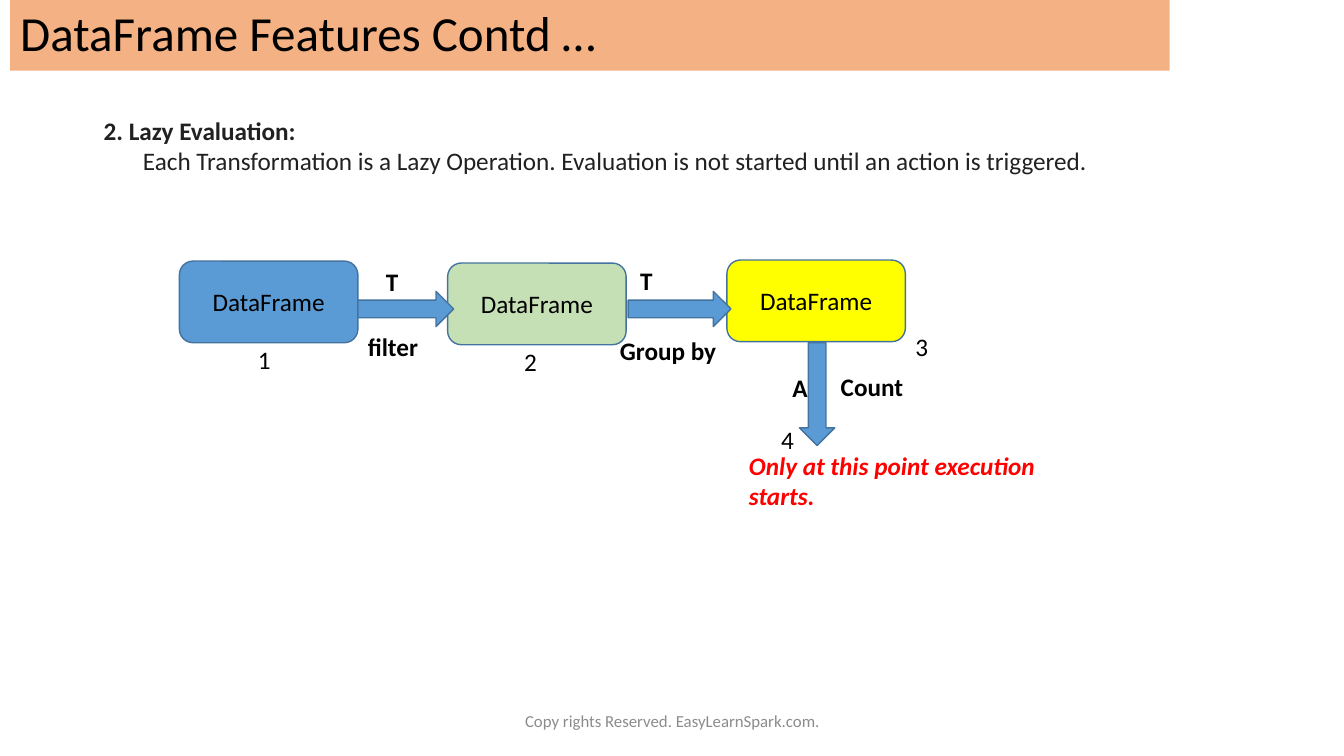
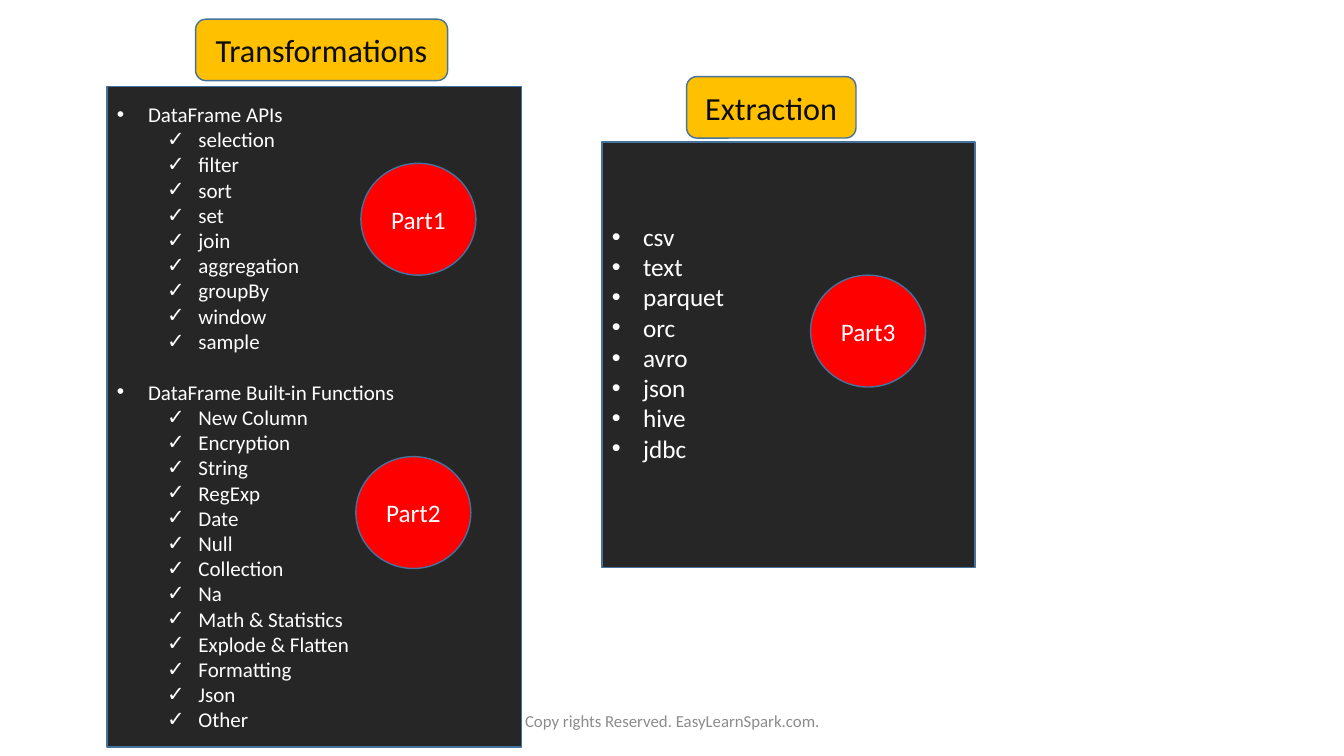
from lxml.etree import SubElement
from pptx import Presentation
from pptx.dml.color import RGBColor
from pptx.enum.shapes import MSO_SHAPE as Preset
from pptx.enum.text import MSO_ANCHOR as Anchor, MSO_AUTO_SIZE as AutoSize, PP_ALIGN as Align
from pptx.oxml.ns import qn
from pptx.util import Inches, Pt

FONT = "Calibri"
BLACK = RGBColor(0x00, 0x00, 0x00)
WHITE = RGBColor(0xFF, 0xFF, 0xFF)
INK = RGBColor(0x21, 0x21, 0x21)
LABEL_INK = RGBColor(0x0D, 0x0D, 0x0D)
GRAY = RGBColor(0x8C, 0x8C, 0x8C)
PEACH = RGBColor(0xF4, 0xB1, 0x83)
BLUE = RGBColor(0x5B, 0x9B, 0xD5)
OUTLINE = RGBColor(0x43, 0x73, 0x9E)
GREEN = RGBColor(0xC5, 0xE0, 0xB4)
YELLOW = RGBColor(0xFF, 0xFF, 0x00)
GOLD = RGBColor(0xFF, 0xC0, 0x00)
RED = RGBColor(0xFF, 0x00, 0x00)
CHARCOAL = RGBColor(0x26, 0x26, 0x26)

FOOTER = "Copy rights Reserved. EasyLearnSpark.com."
TITLE = "DataFrame Features Contd …"
HEADING = "2. Lazy Evaluation:"
EXPLANATION = ("Each Transformation is a Lazy Operation. "
               "Evaluation is not started until an action is triggered.")
CONCLUSION = "Only at this point execution starts."

NODE_SIZE = (1.77, 0.81)
NODES = [(1.78, 2.59, BLUE), (4.44, 2.61, GREEN), (7.21, 2.58, YELLOW)]
ARROWS = [
    (Preset.RIGHT_ARROW, (3.55, 2.89, 0.95, 0.35)),
    (Preset.RIGHT_ARROW, (6.23, 2.89, 1.02, 0.35)),
    (Preset.DOWN_ARROW, (7.93, 3.4, 0.35, 1.02)),
]
OPERATIONS = [
    ("T", 3.73, 2.59, 0.68), ("T", 6.25, 2.58, 0.68),
    ("filter", 3.55, 3.24, 0.92), ("Group by", 6.05, 3.28, 1.2),
    ("A", 7.76, 3.64, 0.68), ("Count", 8.24, 3.63, 1.2),
]
STEPS = [(2.46, 3.37), (5.1, 3.39), (8.98, 3.24), (7.65, 4.16)]
LABEL_HEIGHT = 0.4

# Each panel: box, text size, bottom inset, groups of (bullet, list entries)
PANELS = [
    ((1.06, 0.86, 4.11, 6.55), 15, 0.05, [
        ("DataFrame APIs",
         ["selection", "filter", "sort", "set", "join", "aggregation",
          "groupBy", "window", "sample"]),
        ("DataFrame Built-in Functions",
         ["New Column", "Encryption", "String", "RegExp", "Date", "Null",
          "Collection", "Na", "Math & Statistics", "Explode & Flatten",
          "Formatting", "Json", "Other"]),
    ]),
    ((5.97, 1.41, 3.7, 4.22), 18, 0.3, [
        (name, []) for name in
        ["csv", "text", "parquet", "orc", "avro", "json", "hive", "jdbc"]
    ]),
]
PANEL_LABELS = [("Transformations", (1.94, 0.19, 2.5, 0.61)),
                ("Extraction", (6.81, 0.76, 1.68, 0.61))]
PART_SIZE = (1.14, 1.11)
PARTS = [(3.58, 1.62), (3.53, 4.53), (8.04, 2.73)]
HANGING = 0.31
SUBLIST_INDENT = 0.81
GROUP_GAP = Pt(18.3)


def write(paragraph, text, size=18, color=BLACK, align=Align.LEFT, **font_format):
    paragraph.alignment = align
    run = paragraph.add_run()
    run.text = text
    run.font.color.rgb = color
    values = {"name": FONT, "size": Pt(size), **font_format}
    for name, value in values.items():
        setattr(run.font, name, value)


def add_label(slide, box, text, anchor=Anchor.TOP, **text_format):
    frame = slide.shapes.add_textbox(*map(Inches, box)).text_frame
    frame.word_wrap = True
    frame.vertical_anchor = anchor
    write(frame.paragraphs[0], text, **text_format)
    return frame


def add_block(slide, preset, box, fill, text="", **text_format):
    shape = slide.shapes.add_shape(preset, *map(Inches, box))
    shape.shadow.inherit = False
    shape.fill.solid()
    shape.fill.fore_color.rgb = fill
    shape.line.color.rgb = OUTLINE
    shape.line.width = Pt(1)
    shape.text_frame.vertical_anchor = Anchor.MIDDLE
    if text:
        write(shape.text_frame.paragraphs[0], text, align=Align.CENTER, **text_format)
    return shape


def set_indent(paragraph, left, first_line):
    properties = paragraph._p.get_or_add_pPr()
    properties.set("marL", str(Inches(left)))
    properties.set("indent", str(Inches(first_line)))
    return properties


def set_bullet(paragraph, character, left):
    properties = set_indent(paragraph, left, -HANGING)
    SubElement(properties, qn("a:buFont"), typeface="Arial")
    SubElement(properties, qn("a:buChar"), char=character)


def add_footer(slide):
    add_label(slide, (4.42, 6.95, 4.5, 0.4), FOOTER, Anchor.MIDDLE,
              size=12, color=GRAY, align=Align.CENTER)


def add_title(slide, text):
    title = slide.shapes.title
    place = {"left": 0.1, "top": 0, "width": 11.5, "height": 0.7}
    for name, value in place.items():
        setattr(title, name, Inches(value))
    title.fill.solid()
    title.fill.fore_color.rgb = PEACH
    title.text_frame.auto_size = AutoSize.NONE
    title.text_frame.vertical_anchor = Anchor.MIDDLE
    paragraph = title.text_frame.paragraphs[0]
    paragraph.line_spacing = 0.9
    write(paragraph, text, size=35)


def add_panel(slide, box, size, bottom_inset, groups):
    frame = add_block(slide, Preset.RECTANGLE, box, CHARCOAL).text_frame
    frame.margin_bottom = Inches(bottom_inset)
    lines = []
    for heading, entries in groups:
        starts_group = bool(lines and entries)
        lines.append((heading, "•", HANGING, starts_group))
        lines += [(entry, "✓", SUBLIST_INDENT, False) for entry in entries]
    for index, (text, bullet, left, starts_group) in enumerate(lines):
        paragraph = frame.add_paragraph() if index else frame.paragraphs[0]
        set_bullet(paragraph, bullet, left)
        if starts_group:
            paragraph.space_before = GROUP_GAP
        write(paragraph, text, size, WHITE)


def build_lazy_evaluation(presentation):
    slide = presentation.slides.add_slide(presentation.slide_layouts[5])
    add_title(slide, TITLE)
    frame = add_label(slide, (0.93, 1.09, 10.37, 1.62), HEADING, color=INK, bold=True)
    explanation = frame.add_paragraph()
    set_indent(explanation, 0, 0.39)
    write(explanation, EXPLANATION, color=INK)

    for left, top, fill in NODES:
        add_block(slide, Preset.ROUNDED_RECTANGLE, (left, top, *NODE_SIZE), fill, "DataFrame")
    for preset, box in ARROWS:
        add_block(slide, preset, box, BLUE)
    for text, left, top, width in OPERATIONS:
        add_label(slide, (left, top, width, LABEL_HEIGHT), text, bold=True)
    add_label(slide, (7.33, 4.42, 3.48, 0.71), CONCLUSION, color=RED, bold=True, italic=True)
    for number, (left, top) in enumerate(STEPS, 1):
        add_label(slide, (left, top, 0.4, LABEL_HEIGHT), str(number))
    add_footer(slide)


def build_operations(presentation):
    slide = presentation.slides.add_slide(presentation.slide_layouts[6])
    for panel in PANELS:
        add_panel(slide, *panel)
    for text, box in PANEL_LABELS:
        add_block(slide, Preset.ROUNDED_RECTANGLE, box, GOLD, text, size=23, color=LABEL_INK)
    for number, position in enumerate(PARTS, 1):
        add_block(slide, Preset.OVAL, (*position, *PART_SIZE), RED, f"Part{number}", color=WHITE)
    add_footer(slide)


def main():
    presentation = Presentation()
    presentation.slide_width = Inches(13.33)
    presentation.slide_height = Inches(7.5)
    build_lazy_evaluation(presentation)
    build_operations(presentation)
    presentation.save("out.pptx")


if __name__ == "__main__":
    main()
